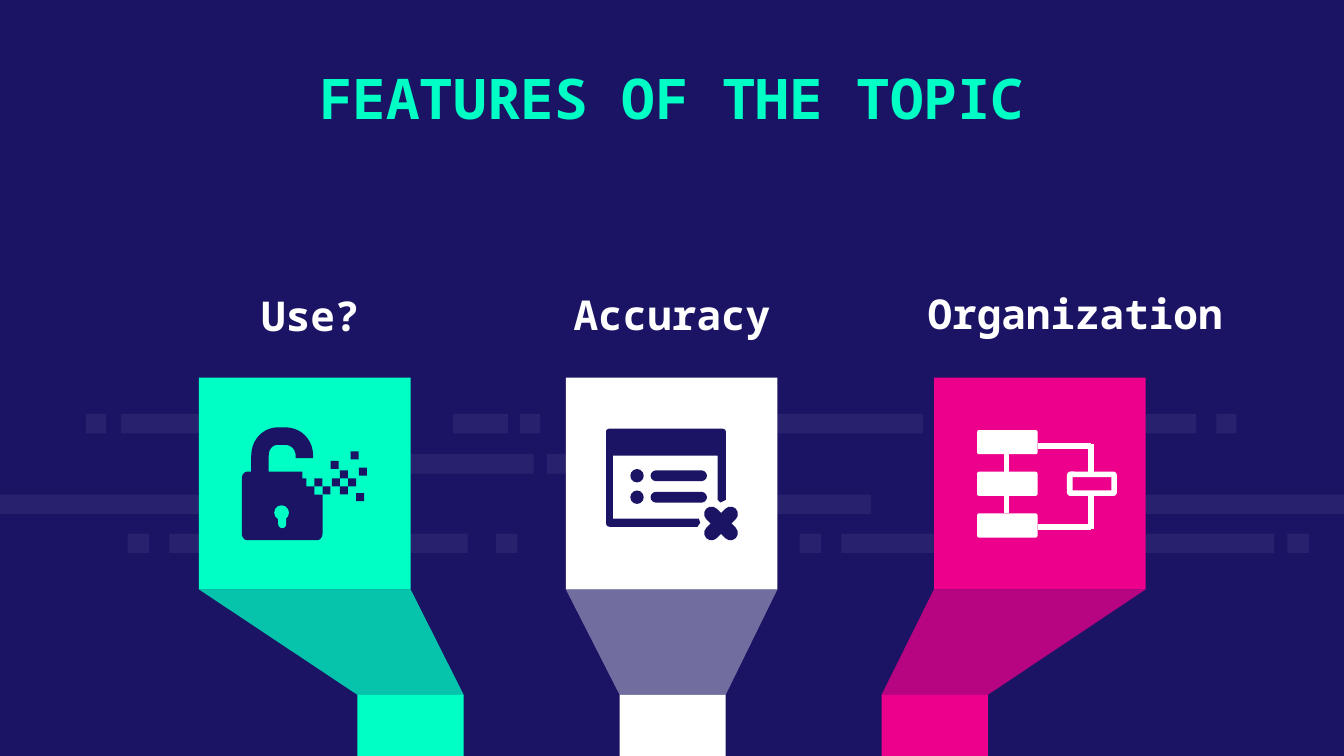
from lxml import etree
from pptx import Presentation
from pptx.dml.color import RGBColor
from pptx.enum.shapes import MSO_CONNECTOR, MSO_SHAPE
from pptx.enum.text import MSO_ANCHOR, PP_ALIGN
from pptx.oxml.ns import qn
from pptx.util import Inches, Pt

RECT, ROUND, OVAL = MSO_SHAPE.RECTANGLE, MSO_SHAPE.ROUNDED_RECTANGLE, MSO_SHAPE.OVAL
STRAIGHT = MSO_CONNECTOR.STRAIGHT
TOP, BOTTOM, CENTER = MSO_ANCHOR.TOP, MSO_ANCHOR.BOTTOM, PP_ALIGN.CENTER
FONT = "Noto Sans Mono"
NAVY, WHITE, TEAL, PINK = "1B1464", "FFFFFF", "00FFC5", "EC008C"
WIDTH, HEIGHT = 10, 5.625
PANEL_TOP, PANEL, PEDESTAL_TOP, PEDESTAL = 2.81, 1.575, 5.17, 0.79
DASH = 0.145
DASH_ROWS = {
    3.08: [(0.64, 0.15), (0.9, 1.46), (3.37, 0.41), (3.87, 0.15),
           (5.61, 1.26), (7.64, 1.26), (9.05, 0.15)],
    3.38: [(2.99, 0.98), (4.07, 0.4)],
    3.68: [(0, 1.48), (5, 1.48), (8.52, 1.48)],
    3.97: [(0.95, 0.16), (1.26, 2.22), (3.69, 0.16),
           (5.95, 0.16), (6.26, 3.22), (9.58, 0.16)],
}
LOCK = [
    (0.59, 0.37), (0.48, 0.37, 0.39, 0.46, 0.39, 0.58), (0.39, 0.7), (0.36, 0.7),
    (0.34, 0.7, 0.32, 0.72, 0.32, 0.75), (0.32, 1.16),
    (0.32, 1.19, 0.34, 1.21, 0.36, 1.21), (0.88, 1.21),
    (0.9, 1.21, 0.92, 1.19, 0.92, 1.16), (0.92, 0.87), (0.86, 0.87), (0.86, 0.81),
    (0.8, 0.81), (0.8, 0.75), (0.77, 0.75), (0.77, 0.7), (0.52, 0.7), (0.52, 0.58),
    (0.52, 0.53, 0.55, 0.5, 0.59, 0.5), (0.64, 0.5),
    (0.68, 0.5, 0.72, 0.53, 0.72, 0.58), (0.72, 0.6), (0.85, 0.6), (0.85, 0.58),
    (0.85, 0.46, 0.76, 0.37, 0.64, 0.37),
]
PIXELS = [(0.92, 0.81), (1.05, 0.69), (0.99, 0.75), (0.98, 0.62), (0.86, 0.75),
          (1.05, 0.81), (1.17, 0.86), (1.11, 0.75), (1.19, 0.67), (1.13, 0.55)]
WINDOW = [
    (0.33, 0.38), (0.31, 0.38, 0.3, 0.39, 0.3, 0.4), (0.3, 1.08),
    (0.3, 1.1, 0.31, 1.11, 0.33, 1.11), (0.98, 1.11), (1, 1.08), (0.99, 1.05),
    (0.35, 1.05), (0.35, 0.58), (1.13, 0.58), (1.13, 0.91), (1.15, 0.93),
    (1.19, 0.91), (1.19, 0.4), (1.19, 0.39, 1.18, 0.38, 1.16, 0.38),
]


def rgb(value):
    """Turn a hex string into a colour."""
    return RGBColor.from_string(value)


def paint(shape, color, alpha=100):
    """Give a shape a plain fill without line or shadow."""
    shape.shadow.inherit = False
    shape.line.fill.background()
    shape.fill.solid()
    shape.fill.fore_color.rgb = rgb(color)
    if alpha < 100:
        tint = shape.fill._xPr.find(".//" + qn("a:srgbClr"))
        etree.SubElement(tint, qn("a:alpha")).set("val", str(alpha * 1000))
    return shape


def block(slide, kind, box, color, alpha=100, rounding=None):
    """Draw a filled preset shape in a box of inches."""
    shape = slide.shapes.add_shape(kind, *map(Inches, box))
    if rounding is not None:
        shape.adjustments[0] = rounding
    return paint(shape, color, alpha)


def outline(slide, origin, steps, color, alpha=100, samples=10):
    """Draw a closed outline of points and cubic curves from an origin."""
    points = []
    for step in steps:
        if len(step) == 2:
            points.append(step)
            continue
        ends = [points[-1], step[:2], step[2:4], step[4:]]
        for i in range(1, samples + 1):
            t = i / samples
            weights = (1 - t) ** 3, 3 * t * (1 - t) ** 2, 3 * t * t * (1 - t), t ** 3
            points.append(tuple(sum(w * end[axis] for w, end in zip(weights, ends))
                                for axis in (0, 1)))
    places = [(Inches(origin[0] + x), Inches(origin[1] + y)) for x, y in points]
    builder = slide.shapes.build_freeform(*places[0])
    builder.add_line_segments(places[1:], close=True)
    return paint(builder.convert_to_shape(), color, alpha)


def link(slide, start, end, color):
    """Draw a straight link between two points."""
    line = slide.shapes.add_connector(STRAIGHT, *map(Inches, start + end))
    line.line.color.rgb = rgb(color)
    line.line.width = Pt(3)
    etree.SubElement(line._element.spPr, qn("a:effectLst"))


def heading(slide, box, words, size, color, anchor, bottom):
    """Write one bold centred line in a box."""
    frame = slide.shapes.add_textbox(*map(Inches, box)).text_frame
    frame.word_wrap = True
    frame.vertical_anchor = anchor
    frame.margin_left = frame.margin_right = frame.margin_top = Inches(0.1)
    frame.margin_bottom = Inches(bottom)
    line = frame.paragraphs[0]
    line.text, line.alignment = words, CENTER
    line.font.name, line.font.size, line.font.bold = FONT, Pt(size), True
    line.font.color.rgb = rgb(color)


def backdrop(slide):
    """Fill the slide and scatter faint dashes in rows."""
    slide.background.fill.solid()
    slide.background.fill.fore_color.rgb = rgb(NAVY)
    for top, dashes in DASH_ROWS.items():
        for left, width in dashes:
            block(slide, RECT, (left, top, width, DASH), WHITE, 6)


def lock_icon(slide, left, top):
    """Draw an open lock dissolving into pixels."""
    outline(slide, (left, top), LOCK, NAVY)
    block(slide, OVAL, (left + 0.56, top + 0.95, 0.11, 0.11), TEAL)
    block(slide, ROUND, (left + 0.59, top + 1, 0.06, 0.12), TEAL, rounding=0.5)
    for x, y in PIXELS:
        block(slide, RECT, (left + x, top + y, 0.06, 0.06), NAVY)


def window_icon(slide, left, top):
    """Draw a window with a list and a cross."""
    outline(slide, (left, top), WINDOW, NAVY)
    for y in (0.68, 0.84):
        block(slide, OVAL, (left + 0.48, top + y, 0.1, 0.1), NAVY)
        block(slide, ROUND, (left + 0.63, top + y + 0.01, 0.42, 0.08), NAVY, rounding=0.5)
    for angle in (45, 135):
        arm = (left + 1, top + 1.03, 0.31, 0.11)
        block(slide, ROUND, arm, NAVY, rounding=0.5).rotation = angle


def flow_icon(slide, left, top):
    """Draw three linked nodes and a hollow one."""
    for y in (0.39, 0.7, 1.01):
        block(slide, ROUND, (left + 0.32, top + y, 0.45, 0.18), WHITE, rounding=0.08)
    links = [(0.54, 0.57, 0.54, 0.7), (0.54, 0.88, 0.54, 1.01),
             (0.77, 0.51, 1.17, 0.51), (0.77, 1.11, 1.17, 1.11),
             (1.17, 0.49, 1.17, 0.7), (1.17, 0.88, 1.17, 1.13)]
    for x1, y1, x2, y2 in links:
        link(slide, (left + x1, top + y1), (left + x2, top + y2), WHITE)
    hollow = block(slide, ROUND, (left + 1.01, top + 0.72, 0.33, 0.14), PINK, rounding=0.05)
    hollow.line.color.rgb = rgb(WHITE)
    hollow.line.width = Pt(3)


def feature(slide, left, foot, color, ramp, icon, words, label):
    """Build a panel, its ramp and pedestal, its icon and its label."""
    bottom = PANEL_TOP + PANEL
    slope = [(foot, PEDESTAL_TOP), (left, bottom), (left + PANEL, bottom),
             (foot + PEDESTAL, PEDESTAL_TOP)]
    for shade, alpha in ramp:
        outline(slide, (0, 0), slope, shade, alpha)
    block(slide, RECT, (foot, PEDESTAL_TOP, PEDESTAL, HEIGHT - PEDESTAL_TOP), color)
    block(slide, RECT, (left, PANEL_TOP, PANEL, PANEL), color)
    icon(slide, left, PANEL_TOP)
    heading(slide, label, words, 22, WHITE, BOTTOM, 0)


def main():
    """Build and save the slide."""
    deck = Presentation()
    deck.slide_width, deck.slide_height = Inches(WIDTH), Inches(HEIGHT)
    slide = deck.slides.add_slide(deck.slide_layouts[6])
    backdrop(slide)
    heading(slide, (1.4, 0.37, 7.2, 0.73), "FEATURES OF THE TOPIC", 30, TEAL, TOP, 0.1)
    feature(slide, 1.48, 2.66, TEAL, [(TEAL, 100), (NAVY, 25)], lock_icon,
            "Use?", (1.18, 2.06, 2.26, 0.47))
    feature(slide, 4.21, 4.61, WHITE, [(WHITE, 38)], window_icon,
            "Accuracy", (3.87, 2.05, 2.26, 0.47))
    feature(slide, 6.95, 6.56, PINK, [(PINK, 100), (NAVY, 25)], flow_icon,
            "Organization", (6.61, 2.04, 2.78, 0.47))
    deck.save("out.pptx")


main()
